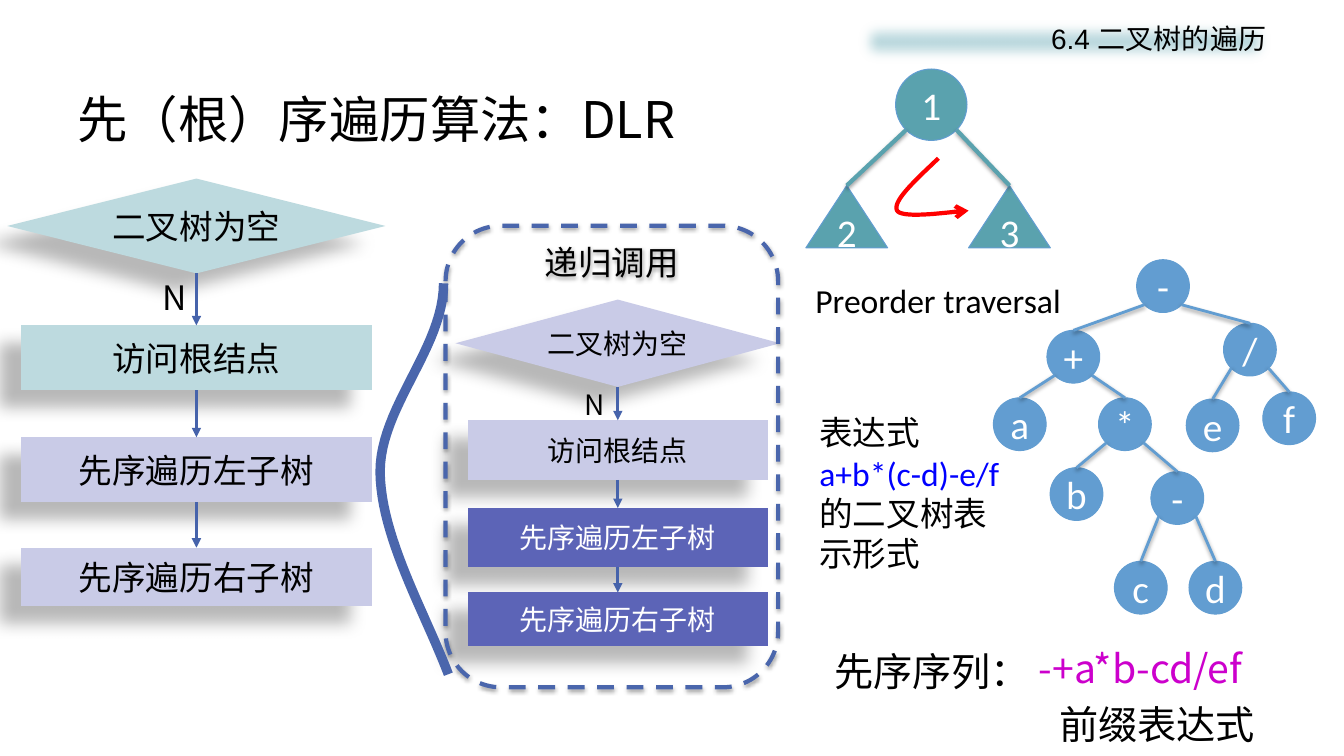
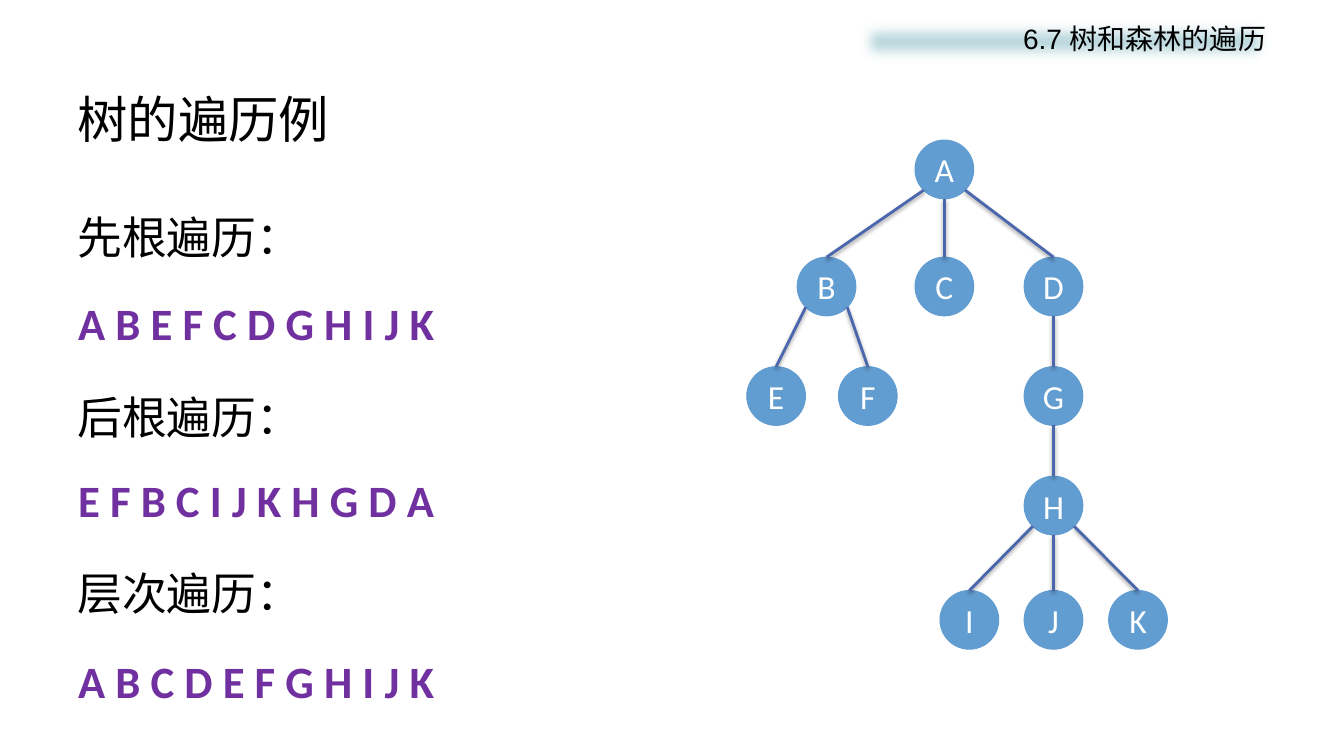
"""Build two slides on traversing binary trees and general trees."""
import dataclasses
import math

import pptx
import pptx.dml.color
import pptx.enum.dml
import pptx.enum.shapes
import pptx.enum.text
import pptx.oxml.ns
import pptx.util
from lxml import etree

Cm, Pt = pptx.util.Cm, pptx.util.Pt
qn = pptx.oxml.ns.qn
KIND = pptx.enum.shapes.MSO_SHAPE
LINK = pptx.enum.shapes.MSO_CONNECTOR.STRAIGHT
ALIGN = pptx.enum.text.PP_ALIGN
ANCHOR = pptx.enum.text.MSO_ANCHOR


@dataclasses.dataclass(frozen=True)
class Theme:
    black: str = "000000"
    white: str = "FFFFFF"
    mint: str = "BDDADF"
    teal: str = "5AA2AE"
    sky: str = "629DD1"
    lilac: str = "C9CBE7"
    indigo: str = "5C64B7"
    navy: str = "4A66AC"
    arrow: str = "4663AB"
    red: str = "FF0000"
    blue: str = "0000FF"
    pink: str = "CC00CC"
    purple: str = "7030A0"
    sans: str = "Noto Sans CJK SC"
    latin: str = "Calibri"
    head: str = "Arial"
    title: int = 36
    big: int = 32
    mid: int = 28
    body: int = 24
    small: int = 20
    drop: tuple = (28, 11.8, 19.7, 141)
    soft: tuple = (38, 3.1, 1.6, 90)


T = Theme()

STEPS = ["二叉树为空", "访问根结点", "先序遍历左子树", "先序遍历右子树"]
FLOWS = [
    dict(mid=4.95, wide=9.53, box=8.84, size=T.body, note=6.85,
         rows=[(4.5, 2.39), (8.2, 1.63), (11.02, 1.63), (13.8, 1.47)],
         fills=[T.mint, T.mint, T.lilac, T.lilac]),
    dict(mid=15.57, wide=8.18, box=7.57, size=T.small, note=9.63,
         rows=[(7.55, 2.2), (10.59, 1.5), (12.8, 1.5), (14.93, 1.34)],
         fills=[T.lilac, T.lilac, T.indigo, T.indigo]),
]

ORDER = dict(
    nodes=[("1", 23.47, 2.64, None), ("2", 21.34, 5.46, 0), ("3", 25.44, 5.46, 0)],
    root=(KIND.OVAL, 1.8, 1.8), kid=(KIND.ISOSCELES_TRIANGLE, 2.06, 1.57),
    fill=T.teal, line=T.teal, width=3, size=T.mid)
FORMULA = dict(
    nodes=[("-", 29.31, 7.21, None), ("+", 27.05, 8.99, 0), ("/", 31.5, 8.81, 0),
           ("a", 25.7, 10.69, 1), ("*", 28.35, 10.69, 1),
           ("e", 30.56, 10.72, 2), ("f", 32.49, 10.54, 2),
           ("b", 27.13, 12.45, 4), ("-", 29.67, 12.55, 4),
           ("c", 28.75, 14.81, 8), ("d", 30.63, 14.81, 8)],
    root=(KIND.OVAL, 1.33, 1.33), kid=(KIND.OVAL, 1.33, 1.33),
    fill=T.sky, line=T.sky, width=2, size=T.mid)
FOREST = dict(
    nodes=[("A", 23.8, 4.27, None), ("B", 20.83, 7.22, 0), ("C", 23.8, 7.22, 0),
           ("D", 26.55, 7.22, 0), ("E", 19.56, 9.98, 1), ("F", 21.87, 9.98, 1),
           ("G", 26.55, 9.98, 3), ("H", 26.55, 12.74, 6),
           ("I", 24.43, 15.62, 7), ("J", 26.55, 15.62, 7), ("K", 28.68, 15.62, 7)],
    root=(KIND.OVAL, 1.48, 1.48), kid=(KIND.OVAL, 1.48, 1.48),
    fill=T.sky, line=T.navy, width=2, size=T.body)

BRACE = [(11.3, 16.99), (10.69, 15.39), (9.6, 13.54), (9.58, 11.89),
         (9.58, 10.26), (11.18, 8.76), (11.18, 7.14)]
SWEEP = [(23.65, 3.99), (23.06, 4.55), (22.48, 5.08), (22.61, 5.31),
         (22.76, 5.54), (24.13, 5.31), (24.41, 5.31)]

EXPR = [("表达式 ", T.black), ("a+b*(c-d)-e/f", T.blue), ("的二叉树表示形式", T.black)]
NOTES = [
    ("Preorder traversal", (20.3, 6.93, 7.2, 1.27), T.latin, T.body, T.black),
    (EXPR, (20.4, 10.26, 5.23, 4.37), T.latin, T.body, T.black),
    ("先序序列：", (20.78, 16.18, 5.6, 1.45), T.head, T.mid, T.black),
    ("-+a*b-cd/ef", (25.93, 16.1, 7, 1.45), T.sans, T.mid, T.pink),
    ("前缀表达式", (26.44, 17.53, 6, 1.45), T.sans, T.mid, T.black),
]
WALKS = [
    ("先根遍历：", 5.16, "A B E F C D G H I J K", 7.32),
    ("后根遍历：", 9.7, "E F B C I J K H G D A", 11.79),
    ("层次遍历：", 14.12, "A B C D E F G H I J K", 16.36),
]


def rgb(code):
    return pptx.dml.color.RGBColor.from_string(code)


def write(shape, text, font, size, color, align=ALIGN.LEFT, anchor=ANCHOR.TOP,
          wrap=True, bold=False):
    frame = shape.text_frame
    frame.word_wrap = wrap
    frame.vertical_anchor = anchor
    para = frame.paragraphs[0]
    para.alignment = align
    if isinstance(text, str):
        para.add_run().text = text
    else:
        for part, tint in text:
            run = para.add_run()
            run.text = part
            run.font.color.rgb = rgb(tint)
    para.font.size = Pt(size)
    para.font.bold = bold
    para.font.color.rgb = rgb(color)
    para.font.name = font
    face = etree.SubElement(para._p.pPr.find(qn("a:defRPr")), qn("a:ea"))
    face.set("typeface", font)


def label(slide, text, spot, font, size, color, **style):
    box = slide.shapes.add_textbox(*map(Cm, spot))
    write(box, text, font, size, color, **style)


def shade(shape, look=None):
    props = shape._element.spPr
    group = props.find(qn("a:effectLst"))
    if group is None:
        group = etree.SubElement(props, qn("a:effectLst"))
    if look:
        alpha, blur, dist, angle = look
        cast = etree.SubElement(
            group, qn("a:outerShdw"), blurRad=str(Pt(blur)), dist=str(Pt(dist)),
            dir=str(angle * 60000), algn="ctr", rotWithShape="0")
        tint = etree.SubElement(cast, qn("a:srgbClr"), val=T.black)
        etree.SubElement(tint, qn("a:alpha"), val=str(alpha * 1000))


def stroke(shape, color, width, tip=None):
    shape.line.color.rgb = rgb(color)
    shape.line.width = Pt(width)
    if tip:
        etree.SubElement(shape._element.spPr.find(qn("a:ln")), qn("a:tailEnd"), type=tip)


def block(slide, kind, spot, fill=None, look=None):
    shape = slide.shapes.add_shape(kind, *map(Cm, spot))
    shape.shadow.inherit = False
    if fill:
        shape.fill.solid()
        shape.fill.fore_color.rgb = rgb(fill)
    else:
        shape.fill.background()
    shape.line.fill.background()
    shade(shape, look)
    return shape


def curve(slide, points, color, width, tip=None):
    trace = [points[0]]
    for k in range(0, len(points) - 1, 3):
        a, b, c, d = points[k:k + 4]
        for n in range(1, 25):
            t = n / 24
            u = 1 - t
            trace.append(tuple(
                u ** 3 * a[i] + 3 * u * u * t * b[i] + 3 * u * t * t * c[i] + t ** 3 * d[i]
                for i in (0, 1)))
    path = [(Cm(x), Cm(y)) for x, y in trace]
    pen = slide.shapes.build_freeform(*path[0])
    pen.add_line_segments(path[1:], close=False)
    shape = pen.convert_to_shape()
    shape.shadow.inherit = False
    shape.fill.background()
    stroke(shape, color, width, tip)


def tree(slide, plan):
    shapes = []
    for name, x, y, up in plan["nodes"]:
        kind, wide, high = plan["root"] if up is None else plan["kid"]
        node = block(slide, kind, (x - wide / 2, y - high / 2, wide, high), plan["fill"])
        stroke(node, T.sky, 0.75)
        write(node, name, T.latin, plan["size"], T.white, ALIGN.CENTER, ANCHOR.MIDDLE, False)
        shapes.append(node)
        if up is None:
            continue
        px, py = plan["nodes"][up][1:3]
        reach = (plan["root"] if up == 0 else plan["kid"])[1] / 2
        side = (x > px) - (x < px)
        slant = reach * math.sqrt(0.5)
        start = (px + side * slant, py + (slant if side else reach))
        link = slide.shapes.add_connector(LINK, *map(Cm, (*start, x, y - high / 2)))
        if not side:
            link.begin_x = Cm(px)
        link.end_connect(node, 0)
        stroke(link, plan["line"], plan["width"])
        shade(link, T.soft)


def flow(slide, plan):
    last = None
    for step, (top, high), fill in zip(STEPS, plan["rows"], plan["fills"]):
        kind = KIND.FLOWCHART_PROCESS if last else KIND.FLOWCHART_DECISION
        wide = plan["box"] if last else plan["wide"]
        box = block(slide, kind, (plan["mid"] - wide / 2, top, wide, high), fill, T.drop)
        ink = T.white if fill == T.indigo else T.black
        write(box, step, T.sans, plan["size"], ink, ALIGN.CENTER, ANCHOR.MIDDLE)
        if last:
            link = slide.shapes.add_connector(LINK, 0, 0, 0, 0)
            link.begin_connect(last, 2)
            link.end_connect(box, 0)
            stroke(link, T.arrow, 2.25, "triangle")
            shade(link)
        last = box
    label(slide, "N", (plan["mid"] - 1.1, plan["note"], 1.1, 1.2), T.sans, plan["size"], T.black)


def page(deck, title, topic):
    slide = deck.slides.add_slide(deck.slide_layouts[6])
    label(slide, title, (1.7, 2.03, 30.48, 1.9), T.sans, T.title, T.black, anchor=ANCHOR.MIDDLE)
    band = block(slide, KIND.RECTANGLE, (21.49, 0.36, 10.67, 1.37), T.mint)
    group = band._element.spPr.find(qn("a:effectLst"))
    etree.SubElement(group, qn("a:softEdge"), rad=str(Pt(10)))
    write(band, topic, T.head, T.small, T.black, ALIGN.RIGHT)
    band.text_frame.margin_top = Cm(0.18)
    return slide


def main():
    deck = pptx.Presentation()
    deck.slide_width, deck.slide_height = Cm(33.87), Cm(19.05)

    slide = page(deck, "先（根）序遍历算法：DLR", "6.4 二叉树的遍历")
    tree(slide, ORDER)
    curve(slide, SWEEP, T.red, 3, "arrow")
    for plan in FLOWS:
        flow(slide, plan)
    panel = block(slide, KIND.ROUNDED_RECTANGLE, (11.23, 5.69, 8.38, 11.63), look=T.soft)
    stroke(panel, T.navy, 3)
    panel.line.dash_style = pptx.enum.dml.MSO_LINE.DASH
    write(panel, "递归调用", T.head, T.body, T.black, ALIGN.CENTER)
    panel.text_frame.margin_top = 0
    curve(slide, BRACE, T.navy, 6.75)
    tree(slide, FORMULA)
    for note in NOTES:
        label(slide, *note)

    slide = page(deck, "树的遍历例", "6.7 树和森林的遍历")
    tree(slide, FOREST)
    for name, top, walk, low in WALKS:
        label(slide, name, (1.7, top, 8, 1.63), T.head, T.big, T.black)
        label(slide, walk, (1.72, low, 11, 1.63), T.latin, T.big, T.purple, bold=True)

    deck.save("out.pptx")


if __name__ == "__main__":
    main()
